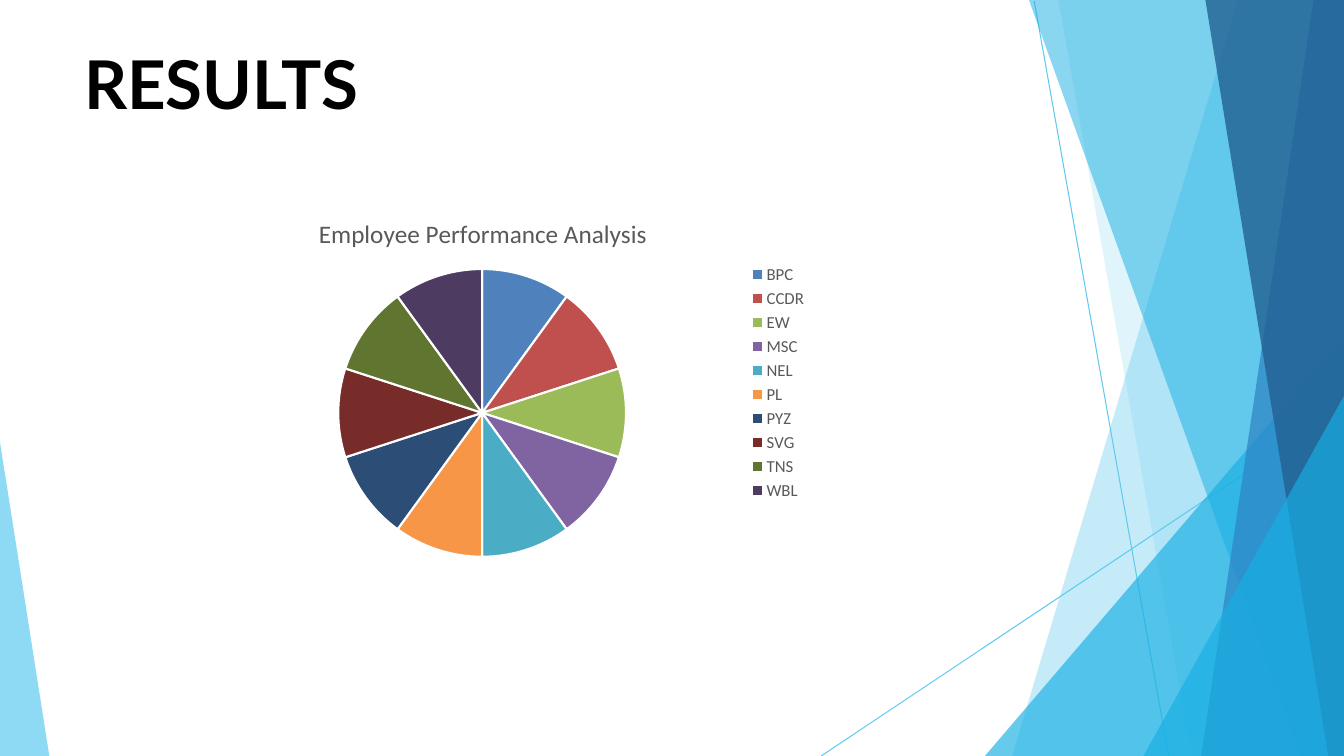
"""Build a results slide with a pie chart between faceted side decorations."""
from lxml.etree import SubElement
from pptx import Presentation
from pptx.chart.data import CategoryChartData
from pptx.dml.color import RGBColor
from pptx.enum.chart import XL_CHART_TYPE as CT, XL_LEGEND_POSITION as LP
from pptx.enum.shapes import MSO_CONNECTOR as MC
from pptx.enum.text import MSO_ANCHOR, MSO_AUTO_SIZE, PP_ALIGN
from pptx.oxml import parse_xml
from pptx.oxml.ns import nsdecls, qn
from pptx.util import Pt

PX = 9525
W, H = 1280, 720
BLACK = RGBColor(0x00, 0x00, 0x00)
WHITE = RGBColor(0xFF, 0xFF, 0xFF)
GREY = RGBColor(0x59, 0x59, 0x59)
SKY = RGBColor(0x5F, 0xCA, 0xEE)
CYAN = RGBColor(0x17, 0xAF, 0xE3)
BLUE = RGBColor(0x2D, 0x83, 0xC3)
NAVY = RGBColor(0x22, 0x61, 0x92)
SLICES = {
    "BPC": RGBColor(0x4F, 0x81, 0xBD), "CCDR": RGBColor(0xC0, 0x50, 0x4D),
    "EW": RGBColor(0x9B, 0xBB, 0x59), "MSC": RGBColor(0x80, 0x64, 0xA2),
    "NEL": RGBColor(0x4B, 0xAC, 0xC6), "PL": RGBColor(0xF7, 0x96, 0x46),
    "PYZ": RGBColor(0x2C, 0x4D, 0x75), "SVG": RGBColor(0x77, 0x2C, 0x2A),
    "TNS": RGBColor(0x5F, 0x75, 0x30), "WBL": RGBColor(0x4D, 0x3B, 0x62),
}


def emu(*lengths):
    """Turn px lengths into EMU."""
    return [n * PX for n in lengths]


def add_line(slide, *ends):
    """Draw one thin decorative line."""
    ln = slide.shapes.add_connector(MC.STRAIGHT, *emu(*ends))
    ln.line.color.rgb = SKY
    ln.line.width = Pt(0.75)
    SubElement(ln._element.spPr, qn("a:effectLst"))


def add_facet(slide, points, color, opacity):
    """Draw one translucent polygon."""
    fb = slide.shapes.build_freeform(*points[0], scale=PX)
    fb.add_line_segments(points[1:], close=True)
    sp = fb.convert_to_shape()
    sp.shadow.inherit = False
    sp.line.fill.background()
    sp.fill.solid()
    sp.fill.fore_color.rgb = color
    clr = sp._element.spPr.find(".//" + qn("a:srgbClr"))
    SubElement(clr, qn("a:alpha"), val=str(opacity * 1000))


def add_decoration(slide, x, y, w, h):
    """Draw the lines and facets along the sides of the given box."""
    right, bottom = x + w, y + h
    add_line(slide, right - 295, y + 1, right - 167, bottom)
    add_line(slide, right, y + 388, right - 498, bottom)
    bands = [(101, 316, SKY, 36), (272, 145, SKY, 20), (0, 342, CYAN, 66, 320),
             (300, 41, CYAN, 50), (29, 136, BLUE, 70), (132, 15, NAVY, 80),
             (0, 191, CYAN, 66, 377)]
    for top_w, bottom_w, color, opacity, *drop in bands:
        top = y + sum(drop)
        points = [(right, top), (right - bottom_w, bottom), (right, bottom)]
        if top_w:
            points.insert(1, (right - top_w, top))
        add_facet(slide, points, color, opacity)
    add_facet(slide, [(x, y + 421), (x, bottom), (x + 47, bottom)], SKY, 70)


def add_title(slide, x, y, w, h):
    """Place the heading in the title placeholder."""
    sp = slide.shapes.title
    sp.left, sp.top, sp.width, sp.height = emu(x, y, w, h)
    slide.shapes._spTree.append(sp._element)
    tf = sp.text_frame
    tf.text = "RESULTS"
    tf.margin_left = tf.margin_right = tf.margin_top = tf.margin_bottom = 0
    tf.vertical_anchor = MSO_ANCHOR.TOP
    tf.auto_size = MSO_AUTO_SIZE.SHAPE_TO_FIT_TEXT
    p = tf.paragraphs[0]
    p.alignment = PP_ALIGN.LEFT
    f = p.runs[0].font
    f.name, f.size, f.bold = "Lato", Pt(48), True
    f.color.rgb = BLACK


def make_layout(target="", **fractions):
    """Return a manual chart layout with the given fractions."""
    inner = f'<c:layoutTarget val="{target}"/>' if target else ""
    inner += "".join(f'<c:{k}Mode val="edge"/>' for k in "xy")
    inner += "".join(f'<c:{k} val="{v}"/>' for k, v in fractions.items())
    return parse_xml(f'<c:layout {nsdecls("c")}><c:manualLayout>{inner}'
                     '</c:manualLayout></c:layout>')


def set_font(f, size, color):
    """Format a chart font."""
    f.name, f.size, f.bold = "Calibri", Pt(size), False
    f.color.rgb = color


def add_pie(slide, x, y, w, h):
    """Place the performance pie with its title and legend."""
    data = CategoryChartData()
    data.categories = list(SLICES)
    data.add_series("Series 1", [10] * len(SLICES))
    chart = slide.shapes.add_chart(CT.PIE, *emu(x, y, w, h), data).chart
    set_font(chart.font, 10, BLACK)

    tf = chart.chart_title.text_frame
    tf.text = "Employee Performance Analysis"
    set_font(tf.paragraphs[0].runs[0].font, 18, GREY)
    title = chart.chart_title._element
    for old in title.findall(qn("c:layout")):
        title.remove(old)
    title.find(qn("c:tx")).addnext(make_layout(x=0.16, y=0.05))
    chart.chart_title.include_in_layout = False

    chart.has_legend = True
    chart.legend.position = LP.RIGHT
    chart.legend.include_in_layout = False
    set_font(chart.legend.font, 12, GREY)

    plot = chart.plots[0]
    plot.vary_by_categories = True
    area = plot._element.getparent()
    for old in area.findall(qn("c:layout")):
        area.remove(old)
    area.insert(0, make_layout("inner", x=0.2, y=0.2, w=0.48, h=0.76))
    for i, color in enumerate(SLICES.values()):
        fmt = plot.series[0].points[i].format
        fmt.fill.solid()
        fmt.fill.fore_color.rgb = color
        fmt.line.color.rgb = WHITE
        fmt.line.width = Pt(1.5)


def main():
    """Build and save the slide."""
    prs = Presentation()
    prs.slide_width, prs.slide_height = emu(W, H)
    slide = prs.slides.add_slide(prs.slide_layouts[5])
    add_decoration(slide, 0, 0, W, H)
    add_title(slide, 80, 40, 1121, 80)
    add_pie(slide, 208, 184, 571, 361)
    prs.save("out.pptx")


if __name__ == "__main__":
    main()
